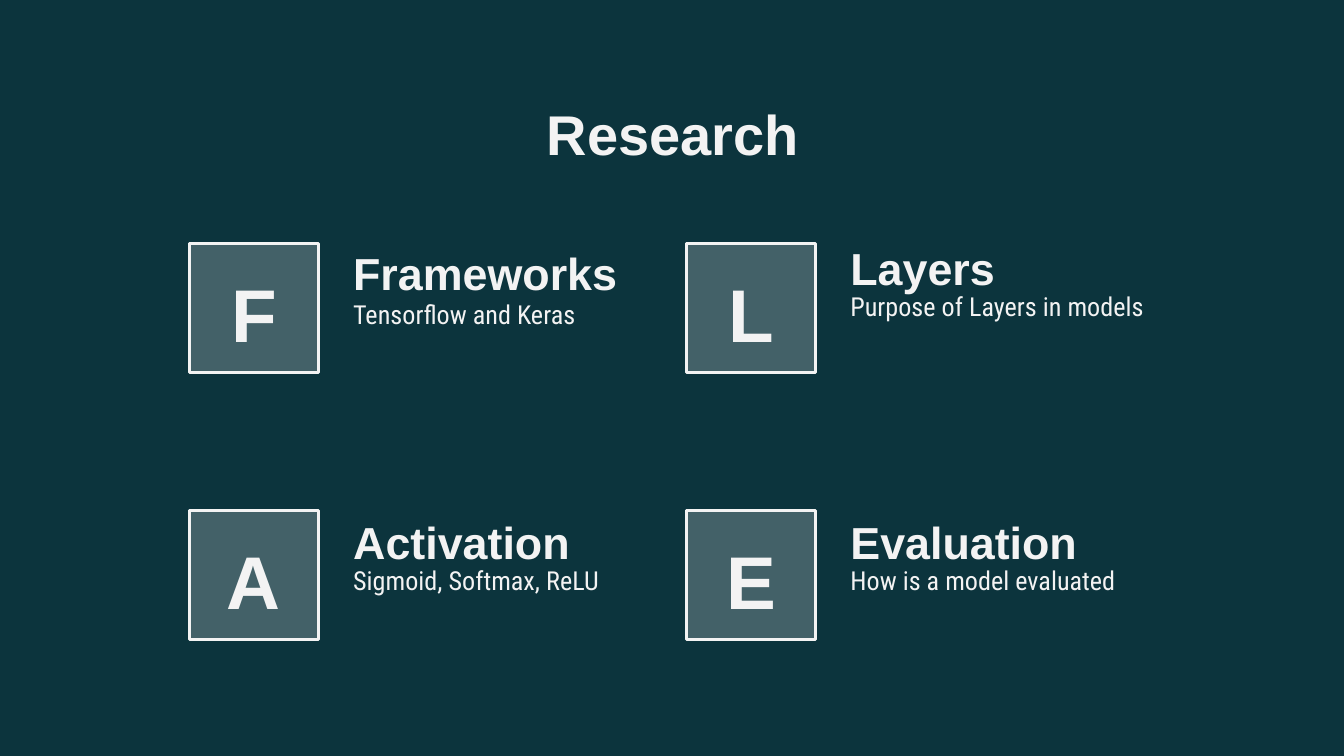
from pptx import Presentation
from pptx.dml.color import RGBColor
from pptx.enum.shapes import MSO_SHAPE
from pptx.enum.text import MSO_ANCHOR, MSO_AUTO_SIZE, PP_ALIGN
from pptx.oxml.ns import qn
from pptx.util import Pt
from lxml import etree

TEAL = RGBColor(0x0C, 0x34, 0x3D)
PALE = RGBColor(0xF3, 0xF3, 0xF3)
HEADING_FONT = "Arial"
BODY_FONT = "Roboto Condensed"
LEFT, CENTER = PP_ALIGN.LEFT, PP_ALIGN.CENTER
TOP, MIDDLE, BOTTOM = MSO_ANCHOR.TOP, MSO_ANCHOR.MIDDLE, MSO_ANCHOR.BOTTOM
NO_AUTOFIT = MSO_AUTO_SIZE.NONE
SQUARE = MSO_SHAPE.ROUNDED_RECTANGLE

TITLE_ONLY = 5
INSET = 7.2
TILE = 69.1
TEXT_OFFSET = 80.6
GRID_LEFT, GRID_TOP = 101.5, 130.3
COLUMN_STEP, ROW_STEP = 266.4, 143.3

# Letter, heading, note, heading bottom and note top below the tile top, note width
TOPICS = [
    ("F", "Frameworks", "Tensorflow and Keras", 37.4, 22.3, 170),
    ("L", "Layers", "Purpose of Layers in models", 34.6, 18, 196.6),
    ("A", "Activation", "Sigmoid, Softmax, ReLU", 38.2, 21.6, 170),
    ("E", "Evaluation", "How is a model evaluated", 38.2, 21.6, 170),
]


def write(shape, text, size, font=HEADING_FONT, bold=True, align=LEFT,
          anchor=TOP, spacing=1.0):
    frame = shape.text_frame
    frame.word_wrap = True
    frame.auto_size = NO_AUTOFIT
    frame.vertical_anchor = anchor
    frame.margin_left = frame.margin_right = Pt(INSET)
    frame.margin_top = frame.margin_bottom = Pt(INSET)
    para = frame.paragraphs[0]
    para.alignment = align
    para.line_spacing = spacing
    span = para.add_run()
    span.text = text
    span.font.name = font
    span.font.size = Pt(size)
    span.font.bold = bold
    span.font.color.rgb = PALE


def add_title(page, left, top, width, height):
    title = page.shapes.title
    title.left, title.top = Pt(left), Pt(top)
    title.width, title.height = Pt(width), Pt(height)
    write(title, "Research", size=30, align=CENTER, spacing=1.1)


def add_tile(page, letter, left, top):
    tile = page.shapes.add_shape(SQUARE, Pt(left), Pt(top), Pt(TILE), Pt(TILE))
    tile.adjustments[0] = 0
    tile.shadow.inherit = False
    tile.fill.solid()
    tile.fill.fore_color.rgb = PALE
    # Let the background show through the fill
    color = tile.fill._xPr.find(qn("a:solidFill"))[0]
    etree.SubElement(color, qn("a:alpha")).set("val", "24000")
    tile.line.color.rgb = PALE
    tile.line.width = Pt(1.5)
    write(tile, letter, size=40, align=CENTER, anchor=MIDDLE, spacing=1.1)


def add_topic(page, topic, left, top):
    letter, heading, note, heading_bottom, note_top, note_width = topic
    add_tile(page, letter, left, top)
    text_left = left + TEXT_OFFSET

    # Heading sits on its bottom edge, the note hangs from its top edge
    heading_height = 36
    box = page.shapes.add_textbox(
        Pt(text_left), Pt(top + heading_bottom - heading_height),
        Pt(note_width), Pt(heading_height))
    write(box, heading, size=24, anchor=BOTTOM)
    box = page.shapes.add_textbox(
        Pt(text_left), Pt(top + note_top), Pt(note_width), Pt(43.2))
    write(box, note, size=14, font=BODY_FONT, bold=False)


def main():
    deck = Presentation()
    deck.slide_width, deck.slide_height = Pt(720), Pt(405)
    page = deck.slides.add_slide(deck.slide_layouts[TITLE_ONLY])
    page.background.fill.solid()
    page.background.fill.fore_color.rgb = TEAL

    add_title(page, 56.9, 42.5, 607, 45.4)

    # Two by two grid of topics
    for index, topic in enumerate(TOPICS):
        row, column = divmod(index, 2)
        add_topic(page, topic, GRID_LEFT + column * COLUMN_STEP,
                  GRID_TOP + row * ROW_STEP)

    deck.save("out.pptx")


if __name__ == "__main__":
    main()
